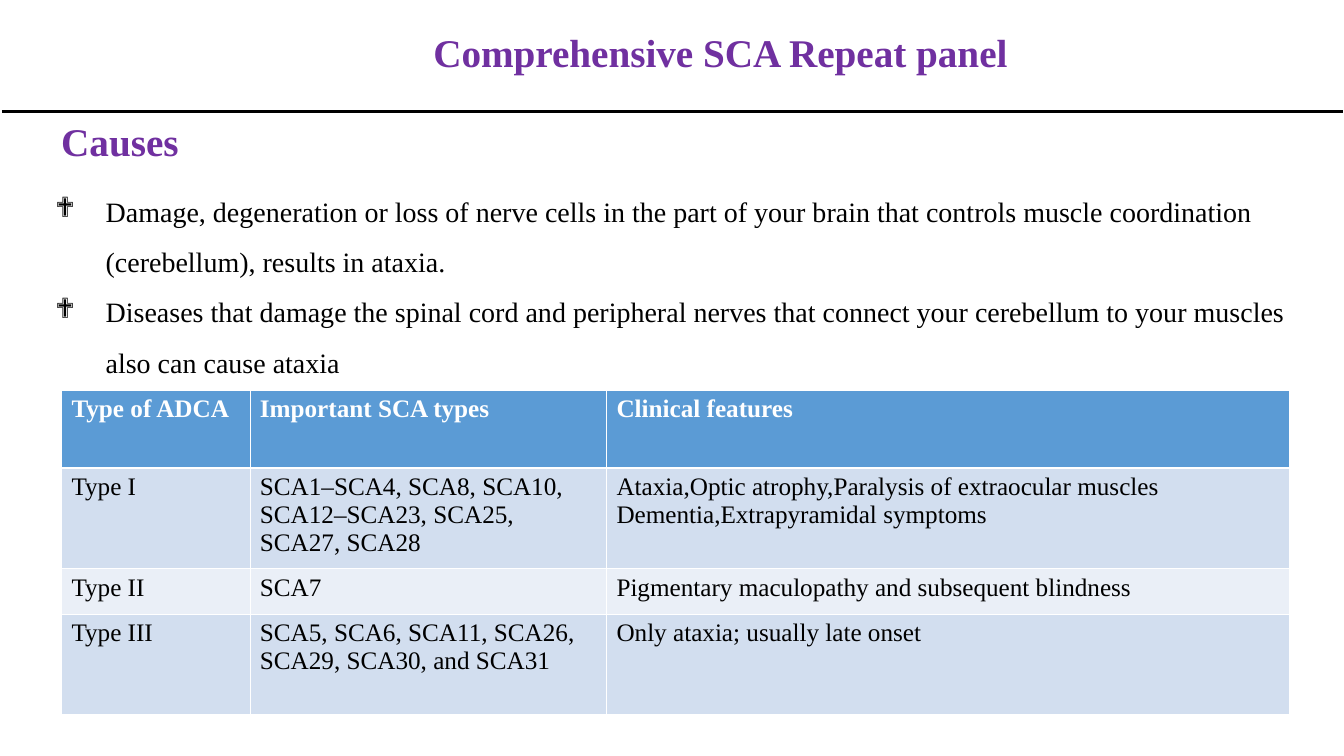
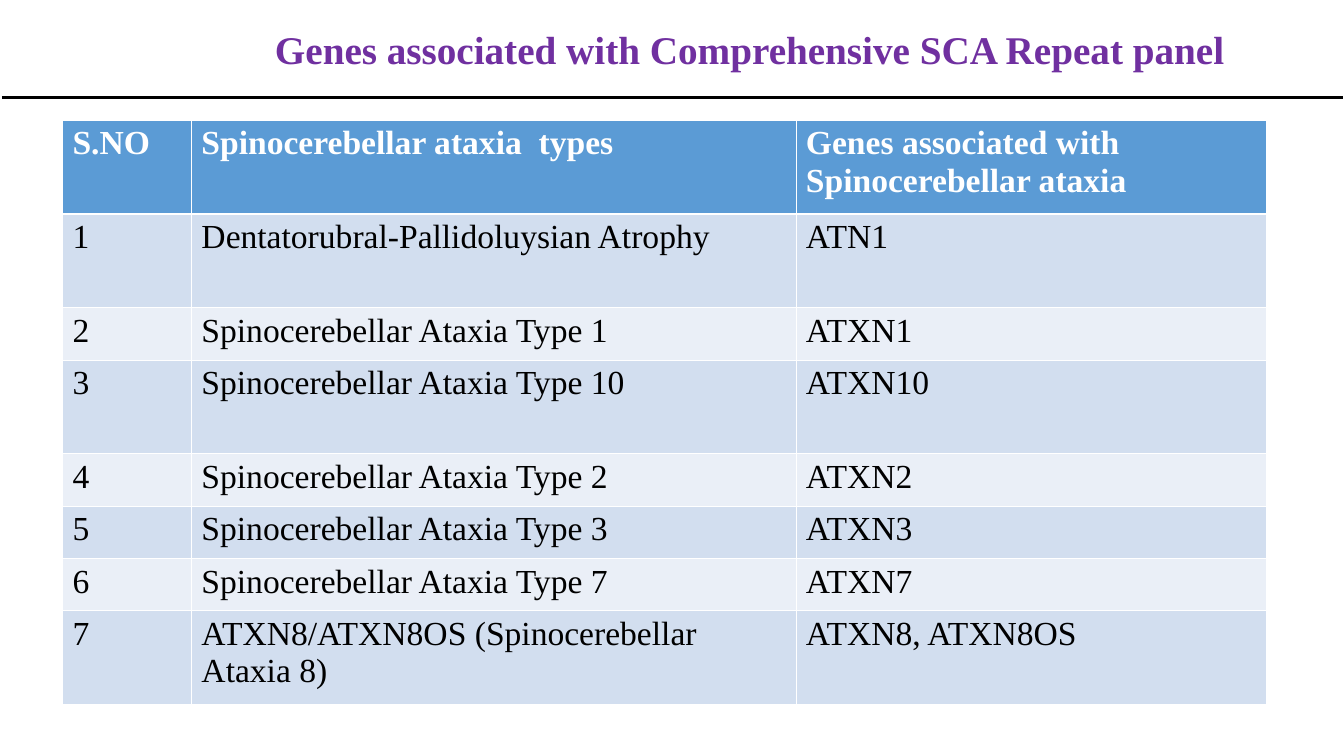
from pptx import Presentation
from pptx.dml.color import RGBColor as RGB
from pptx.enum.shapes import MSO_CONNECTOR as LINK
from pptx.enum.text import MSO_ANCHOR as ANCHOR, PP_ALIGN as ALIGN
from pptx.oxml.ns import qn
from pptx.util import Pt
from lxml.etree import SubElement as Sub

PX = 9144
FONT = "Times New Roman"
PURPLE = RGB(0x70, 0x30, 0xA0)
BLACK = RGB(0, 0, 0)
WHITE = RGB(0xFF, 0xFF, 0xFF)
BLUE = RGB(0x5B, 0x9B, 0xD5)
BANDS = RGB(0xD2, 0xDE, 0xEF), RGB(0xEA, 0xEF, 0xF7)
THIN, THICK = 0.45, 1.47


class Deck:
    """Hold the shared style and the current slide, and draw each kind of element."""

    def __init__(self, wide, high):
        self.prs = Presentation()
        self.prs.slide_width, self.prs.slide_height = wide * PX, high * PX
        self.slide = None

    def style(self, para, size, color=BLACK, bold=False):
        font = para.font
        font.name, font.size, font.bold = FONT, Pt(size), bold
        font.color.rgb = color

    def page(self, text, box, rule):
        self.slide = self.prs.slides.add_slide(self.prs.slide_layouts[5])
        title = self.slide.shapes.title
        title.left, title.top, title.width, title.height = [n * PX for n in box]
        frame = title.text_frame
        frame.text = text
        frame.vertical_anchor = ANCHOR.MIDDLE
        para = frame.paragraphs[0]
        para.alignment, para.line_spacing = ALIGN.CENTER, 0.9
        self.style(para, 28, PURPLE, True)
        self.rule(2, 1333, rule)

    def rule(self, left, right, top):
        line = self.slide.shapes.add_connector(
            LINK.STRAIGHT, left * PX, top * PX, right * PX, top * PX)
        line.line.color.rgb, line.line.width = BLACK, Pt(2.25)
        Sub(line._element.spPr, qn("a:effectLst"))

    def text(self, box, lines):
        shape = self.slide.shapes.add_textbox(*[n * PX for n in box])
        frame = shape.text_frame
        frame.word_wrap = True
        frame.text = "\n".join(lines)
        return frame.paragraphs

    def head(self, box, text):
        for para in self.text(box, [text]):
            self.style(para, 28, PURPLE, True)

    def list(self, box, lines):
        for para in self.text(box, lines):
            para.line_spacing = 1.5
            props = para._p.get_or_add_pPr()
            props.set("marL", str(50 * PX))
            props.set("indent", str(-50 * PX))
            Sub(props, qn("a:buFont"), typeface="Wingdings")
            Sub(props, qn("a:buChar"), char="❖")
            self.style(para, 20)

    def edge(self, cell, side, width):
        line = Sub(cell._tc.get_or_add_tcPr(), qn("a:ln" + side), w=str(Pt(width)))
        Sub(Sub(line, qn("a:solidFill")), qn("a:srgbClr"), val=str(WHITE))

    def table(self, left, top, cols, highs, size, rows):
        frame = self.slide.shapes.add_table(
            len(rows), len(cols), left * PX, top * PX, sum(cols) * PX, sum(highs) * PX)
        grid = frame.table
        for col, wide in zip(grid.columns, cols):
            col.width = wide * PX
        for r, (row, high) in enumerate(zip(rows, highs)):
            grid.rows[r].height = high * PX
            for c, text in enumerate(row):
                self.cell(grid.cell(r, c), r, text, size)

    def cell(self, cell, r, text, size):
        top = THICK if r == 1 else THIN
        base = THICK if r == 0 else THIN
        for side, width in zip("LRTB", (THIN, THIN, top, base)):
            self.edge(cell, side, width)
        cell.fill.solid()
        cell.fill.fore_color.rgb = BANDS[(r - 1) % 2] if r else BLUE
        cell.text = text
        for para in cell.text_frame.paragraphs:
            self.style(para, size, BLACK if r else WHITE, r == 0)


def main():
    deck = Deck(1334, 750)

    deck.page("Comprehensive SCA Repeat panel", (140, 0, 1150, 109), 111)
    deck.head((51, 111, 717, 104), "Causes")
    deck.list((45, 171, 1265, 210), [
        "Damage, degeneration or loss of nerve cells in the part of your brain that "
        "controls muscle coordination (cerebellum), results in ataxia.",
        "Diseases that damage the spinal cord and peripheral nerves that connect your "
        "cerebellum to your muscles also can cause ataxia",
    ])
    deck.table(61, 387, (187, 354, 678), (77, 100, 45, 100), 18, [
        ("Type of ADCA", "Important SCA types", "Clinical features"),
        ("Type I", "SCA1–SCA4, SCA8, SCA10, SCA12–SCA23, SCA25, SCA27, SCA28",
         "Ataxia,Optic atrophy,Paralysis of extraocular muscles\n"
         "Dementia,Extrapyramidal symptoms"),
        ("Type II", "SCA7", "Pigmentary maculopathy and subsequent blindness"),
        ("Type III", "SCA5, SCA6, SCA11, SCA26, SCA29, SCA30, and SCA31",
         "Only ataxia; usually late onset"),
    ])

    deck.page("Genes associated with Comprehensive SCA Repeat panel",
              (169, 17, 1150, 69), 97)
    genes = [
        ("Dentatorubral-Pallidoluysian Atrophy", "ATN1"),
        *[(f"Spinocerebellar Ataxia Type {n}", f"ATXN{n}") for n in (1, 10, 2, 3, 7)],
        ("ATXN8/ATXN8OS (Spinocerebellar Ataxia 8)", "ATXN8, ATXN8OS"),
    ]
    deck.table(62, 119, (128, 600, 467), (93, 93, 52, 93, 52, 52, 52, 93), 24, [
        ("S.NO", "Spinocerebellar ataxia  types",
         "Genes associated with Spinocerebellar ataxia"),
        *[(str(n), *gene) for n, gene in enumerate(genes, 1)],
    ])

    deck.prs.save("out.pptx")


if __name__ == "__main__":
    main()
